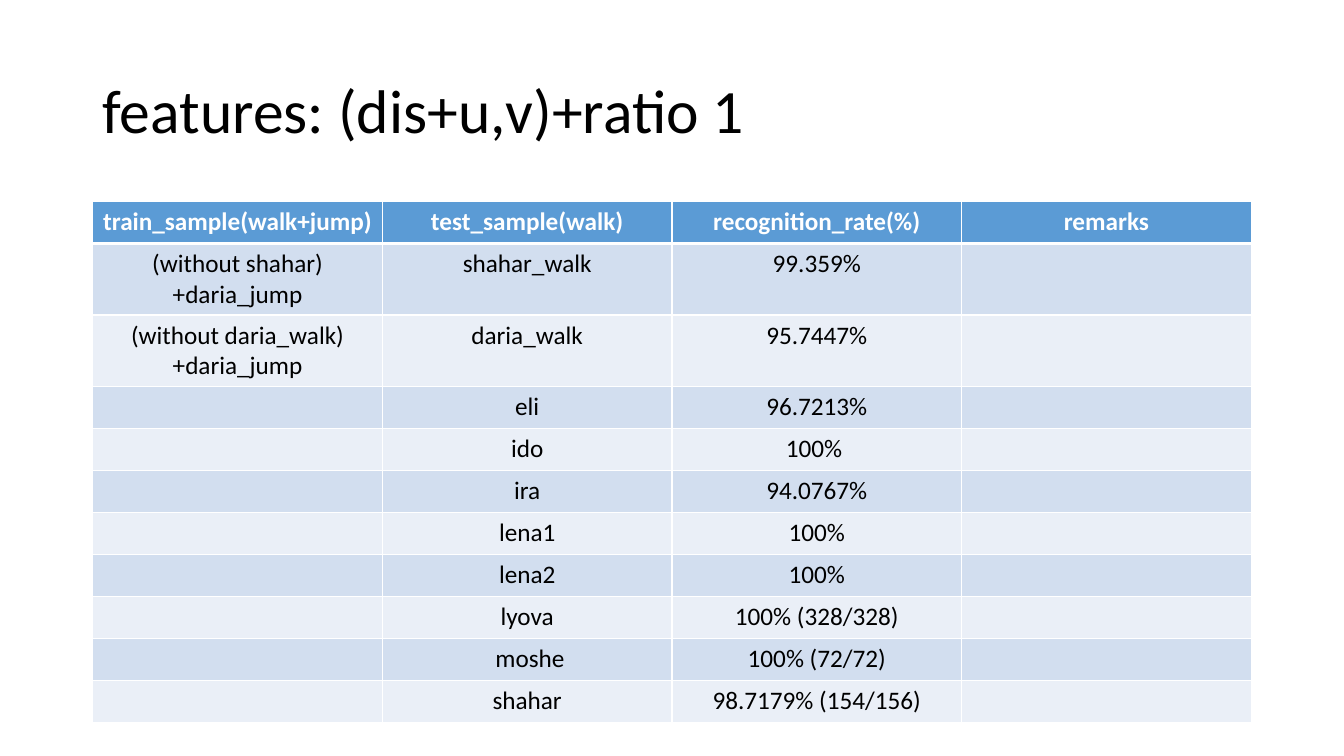
from dataclasses import dataclass

from lxml import etree
from pptx import Presentation
from pptx.dml.color import RGBColor
from pptx.enum.text import MSO_ANCHOR, PP_ALIGN
from pptx.oxml.ns import qn
from pptx.util import Inches, Pt

CENTER = PP_ALIGN.CENTER
MIDDLE = MSO_ANCHOR.MIDDLE


@dataclass(frozen=True)
class Theme:
    font: str = "Calibri"
    title_size: int = 44
    body_size: int = 18
    text: str = "000000"
    white: str = "FFFFFF"
    header: str = "5B9BD5"
    bands: tuple = ("D2DEEF", "EAEFF7")
    border: int = 1
    header_border: int = 3


HEADER = ("train_sample(walk+jump)", "test_sample(walk)", "recognition_rate(%)", "remarks")
RESULTS = [
    ("(without shahar)+daria_jump", "shahar_walk", "99.359%", ""),
    ("(without daria_walk)+daria_jump", "daria_walk", "95.7447%", ""),
    ("", "eli", "96.7213%", ""),
    ("", "ido", "100% ", ""),
    ("", "ira", "94.0767%", ""),
    ("", "lena1", "100%", ""),
    ("", "lena2", "100%", ""),
    ("", "lyova", "100% (328/328)", ""),
    ("", " moshe", "100% (72/72)", ""),
    ("", "shahar", "98.7179% (154/156)", ""),
]


class SlideBuilder:
    """Places elements on a grid of 4 columns inside the margins and 18 rows."""

    COLUMNS, ROWS = 4, 18

    def __init__(self, presentation, theme):
        self.theme = theme
        self.slide = presentation.slides.add_slide(presentation.slide_layouts[6])
        self.left = Inches(0.92)
        self.column = (presentation.slide_width - 2 * self.left) / self.COLUMNS
        self.row = presentation.slide_height / self.ROWS

    def area(self, top, rows):
        """Return a full-width box, measured in grid rows."""
        return (self.left, int(top * self.row),
                int(self.COLUMNS * self.column), int(rows * self.row))

    def style(self, paragraph, size, color, bold=False):
        font = paragraph.font
        font.name, font.size, font.bold = self.theme.font, Pt(size), bold
        font.color.rgb = RGBColor.from_string(color)

    def title(self, text, top, rows):
        frame = self.slide.shapes.add_textbox(*self.area(top, rows)).text_frame
        frame.word_wrap = True
        frame.vertical_anchor = MIDDLE
        paragraph = frame.paragraphs[0]
        paragraph.text = text
        paragraph.line_spacing = 0.9
        self.style(paragraph, self.theme.title_size, self.theme.text)

    def borders(self, cell, is_header, below_header):
        properties = cell._tc.get_or_add_tcPr()
        thick_side = "lnB" if is_header else "lnT" if below_header else None
        for side in ("lnL", "lnR", "lnT", "lnB"):
            width = self.theme.header_border if side == thick_side else self.theme.border
            line = etree.SubElement(properties, qn(f"a:{side}"), w=str(Pt(width)))
            fill = etree.SubElement(line, qn("a:solidFill"))
            etree.SubElement(fill, qn("a:srgbClr"), val=self.theme.white)

    def cell(self, cell, text, row_index):
        is_header = row_index == 0
        self.borders(cell, is_header, row_index == 1)
        color = self.theme.header if is_header else self.theme.bands[(row_index - 1) % 2]
        cell.fill.solid()
        cell.fill.fore_color.rgb = RGBColor.from_string(color)
        paragraph = cell.text_frame.paragraphs[0]
        paragraph.text = text
        paragraph.alignment = CENTER
        text_color = self.theme.white if is_header else self.theme.text
        self.style(paragraph, self.theme.body_size, text_color, is_header)

    def table(self, records, top, tall_rows, tall_height):
        heights = [tall_height if index in tall_rows else 1 for index in range(len(records))]
        table = self.slide.shapes.add_table(
            len(records), self.COLUMNS, *self.area(top, sum(heights))).table
        for row_index, (record, height) in enumerate(zip(records, heights)):
            table.rows[row_index].height = int(height * self.row)
            for column_index, text in enumerate(record):
                self.cell(table.cell(row_index, column_index), text, row_index)


def main():
    presentation = Presentation()
    presentation.slide_width, presentation.slide_height = Inches(13.33), Inches(7.5)
    builder = SlideBuilder(presentation, Theme())

    # Heading
    builder.title("features: (dis+u,v)+ratio 1", top=0.96, rows=3.48)

    # Recognition results; the first two records take two lines
    builder.table([HEADER, *RESULTS], top=4.8, tall_rows=(1, 2), tall_height=1.7)

    presentation.save("out.pptx")


if __name__ == "__main__":
    main()
